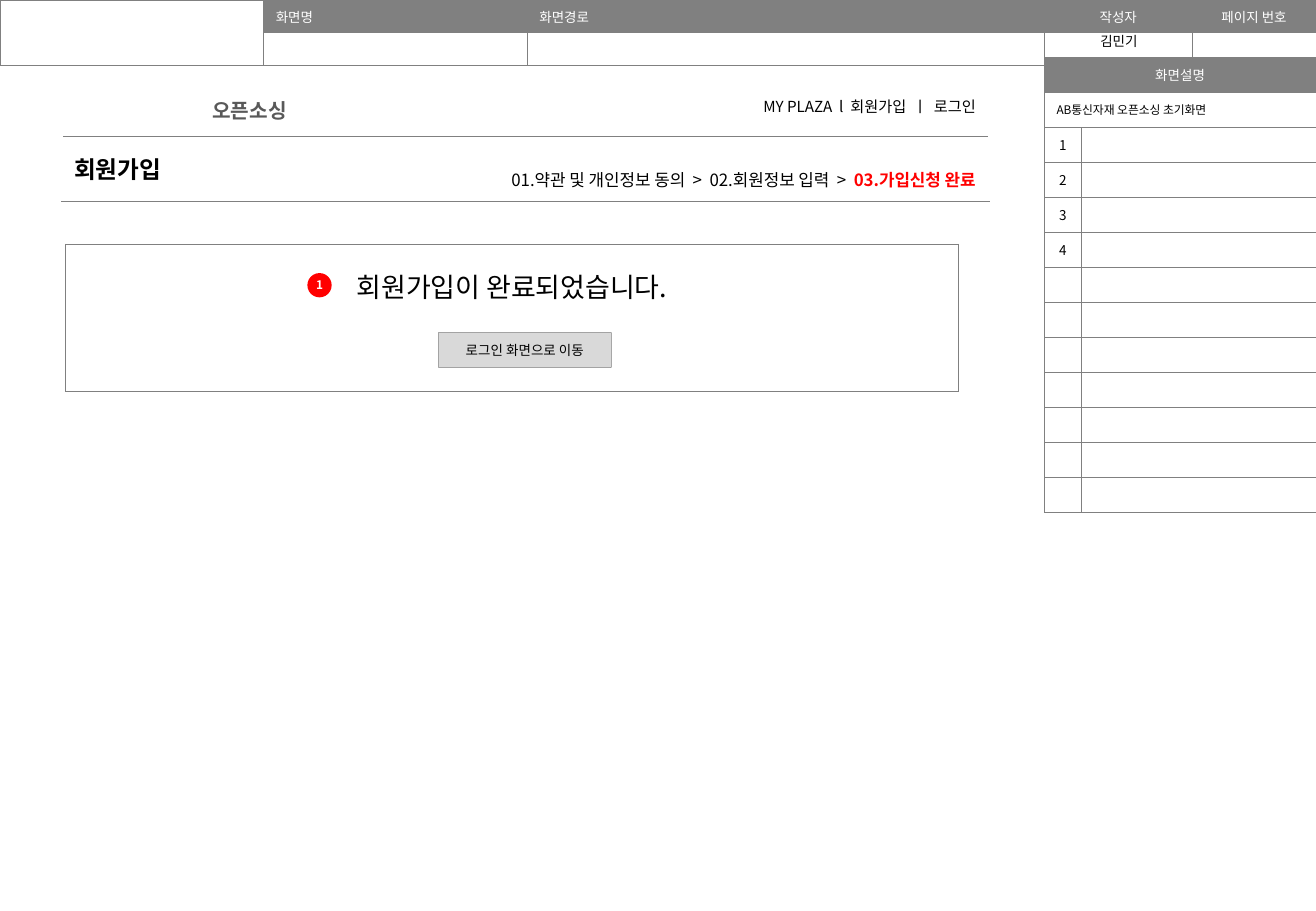
from pptx import Presentation
from pptx.dml.color import RGBColor
from pptx.enum import shapes, text
from pptx.oxml.xmlchemy import OxmlElement
from pptx.util import Pt

FONT = "Noto Sans CJK KR"
COLORS = {"gray": "808080", "dark": "595959", "light": "D9D9D9",
          "red": "FF0000", "black": "000000", "white": "FFFFFF"}
LEFT, CENTER, RIGHT = text.PP_ALIGN.LEFT, text.PP_ALIGN.CENTER, text.PP_ALIGN.RIGHT
TOP, MIDDLE = text.MSO_ANCHOR.TOP, text.MSO_ANCHOR.MIDDLE
GRID_LINE = ("gray", 0.25)


def rgb(name):
    return RGBColor.from_string(COLORS[name])


def format_run(run, size, color="black", bold=False):
    run.font.size = Pt(size)
    run.font.bold = bold
    run.font.color.rgb = rgb(color)
    run.font.name = FONT
    east_asian = OxmlElement("a:ea")
    east_asian.set("typeface", FONT)
    run.font._element.append(east_asian)


def write(frame, words, size, color="black", bold=False, align=LEFT,
          anchor=MIDDLE, margins=(7.2, 3.6), wrap=True):
    frame.word_wrap = wrap
    frame.auto_size = text.MSO_AUTO_SIZE.NONE
    frame.vertical_anchor = anchor
    frame.margin_left = frame.margin_right = Pt(margins[0])
    frame.margin_top = frame.margin_bottom = Pt(margins[1])
    frame.text = words
    paragraph = frame.paragraphs[0]
    paragraph.alignment = align
    format_run(paragraph.runs[0], size, color, bold)
    return paragraph


def add_label(slide, box, words, size, **style):
    label = slide.shapes.add_textbox(*map(Pt, box))
    return write(label.text_frame, words, size, **style)


def add_pill(slide, box, rounding, fill, outline=None):
    pill = slide.shapes.add_shape(shapes.MSO_SHAPE.ROUNDED_RECTANGLE, *map(Pt, box))
    pill.adjustments[0] = rounding
    pill.shadow.inherit = False
    pill.fill.solid()
    pill.fill.fore_color.rgb = rgb(fill)
    if outline:
        pill.line.color.rgb = rgb(outline)
        pill.line.width = Pt(0.25)
    else:
        pill.line.fill.background()
    return pill


def add_border(cell, side, color, width):
    line = OxmlElement(f"a:ln{side}")
    line.set("w", str(Pt(width)))
    fill = OxmlElement("a:solidFill")
    shade = OxmlElement("a:srgbClr")
    shade.set("val", COLORS[color])
    fill.append(shade)
    line.append(fill)
    cell._tc.get_or_add_tcPr().append(line)


def add_grid(slide, left, top, widths, heights, sides=GRID_LINE):
    """Add a plain bordered table whose empty cells keep a small text height."""
    table = slide.shapes.add_table(len(heights), len(widths), Pt(left), Pt(top),
                                   Pt(sum(widths)), Pt(sum(heights))).table
    table.first_row = table.horz_banding = False
    for column, width in zip(table.columns, widths):
        column.width = Pt(width)
    for row, height in zip(table.rows, heights):
        row.height = Pt(height)
    for cell in table.iter_cells():
        for side in "LRTB":
            add_border(cell, side, *(sides if side in "LR" else GRID_LINE))
        cell.fill.background()
        end = OxmlElement("a:endParaRPr")
        end.set("sz", "800")
        cell.text_frame.paragraphs[0]._p.append(end)
    return table


def fill_cell(cell, words, size, color="black", bold=False, align=LEFT,
              fill=None, margin=None):
    cell.text_frame.text = words
    cell.vertical_anchor = MIDDLE
    if margin is not None:
        cell.margin_left = cell.margin_right = Pt(margin)
        cell.margin_top = cell.margin_bottom = Pt(margin)
    paragraph = cell.text_frame.paragraphs[0]
    paragraph.alignment = align
    format_run(paragraph.runs[0], size, color, bold)
    if fill:
        cell.fill.solid()
        cell.fill.fore_color.rgb = rgb(fill)


def document_header(slide, left, top):
    widths = [156.25, 156.25, 306.5, 87.75, 73.25]
    header = add_grid(slide, left, top, widths, [19.2] * 2)
    header.cell(0, 0).merge(header.cell(1, 0))
    headings = [("화면명", LEFT), ("화면경로", LEFT), ("작성자", CENTER), ("페이지 번호", CENTER)]
    for column, (heading, align) in enumerate(headings, 1):
        fill_cell(header.cell(0, column), heading, 8, "white", align=align, fill="gray")
    # Author name
    add_label(slide, (left + sum(widths[:3]), top + 15.8, 88.5, 17.3), "김민기", 8,
              align=CENTER, anchor=TOP)


def page_heading(slide, left, top, width):
    # Site name
    site = slide.shapes.title
    site.left, site.top, site.width, site.height = map(
        Pt, (left + 82, top + 2, 63.4, 21.6))
    write(site.text_frame, "오픈소싱", 12, "dark", True, anchor=TOP, wrap=False)

    # Ruled band with the page name
    band = add_grid(slide, left, top + 28, [width], [38.5], sides=("white", 1))
    fill_cell(band.cell(0, 0), "회원가입", 14, bold=True)

    # Menu and sign-up steps, both flush right
    menu_left, menu_width = left + 212.5, 336.2
    steps = add_label(slide, (menu_left, top + 43.2, menu_width, 21.6),
                      "01.약관 및 개인정보 동의  >  02.회원정보 입력  >  ", 10, align=RIGHT)
    current_step = steps.add_run()
    current_step.text = "03.가입신청 완료"
    format_run(current_step, 10, "red", True)
    add_label(slide, (menu_left, top, menu_width, 21.6),
              "MY PLAZA  l  회원가입  ㅣ  로그인", 9, align=RIGHT)


def completion_panel(slide, left, top, width, height):
    panel = add_grid(slide, left, top, [width], [height])
    message = panel.cell(0, 0)
    fill_cell(message, "회원가입이 완료되었습니다.", 16, align=CENTER, fill="white", margin=2.9)
    message.vertical_anchor = TOP
    message.margin_top = Pt(13)
    # Login button
    button = add_pill(slide, (left + 221, top + 52.3, 102.5, 20.9), 0.02, "light", "gray")
    write(button.text_frame, "로그인 화면으로 이동", 8, align=CENTER)
    # Numbered marker
    marker = add_pill(slide, (left + 143.3, top + 17.2, 14.4, 14.4), 0.5, "red")
    write(marker.text_frame, "1", 7, "white", True, CENTER, margins=(0, 0))


def description_panel(slide, left, top):
    notes = add_grid(slide, left, top, [22, 139], [20.75] * 13)
    for cell in notes.iter_cells():
        cell.fill.solid()
        cell.fill.fore_color.rgb = rgb("white")
    for row in range(2):
        notes.cell(row, 0).merge(notes.cell(row, 1))
    fill_cell(notes.cell(0, 0), "화면설명", 8, "white", align=CENTER, fill="gray")
    fill_cell(notes.cell(1, 0), "AB통신자재 오픈소싱 초기화면", 7, fill="white")
    for number in range(1, 5):
        fill_cell(notes.cell(number + 1, 0), str(number), 8, align=CENTER, fill="white")


def main():
    deck = Presentation()
    deck.slide_width, deck.slide_height = Pt(780), Pt(540)
    slide = deck.slides.add_slide(deck.slide_layouts[5])
    document_header(slide, 0, 0)
    page_heading(slide, 36.7, 52.5, 549.4)
    completion_panel(slide, 38.9, 144.7, 529.2, 87.1)
    description_panel(slide, 619, 34)
    deck.save("out.pptx")


if __name__ == "__main__":
    main()
